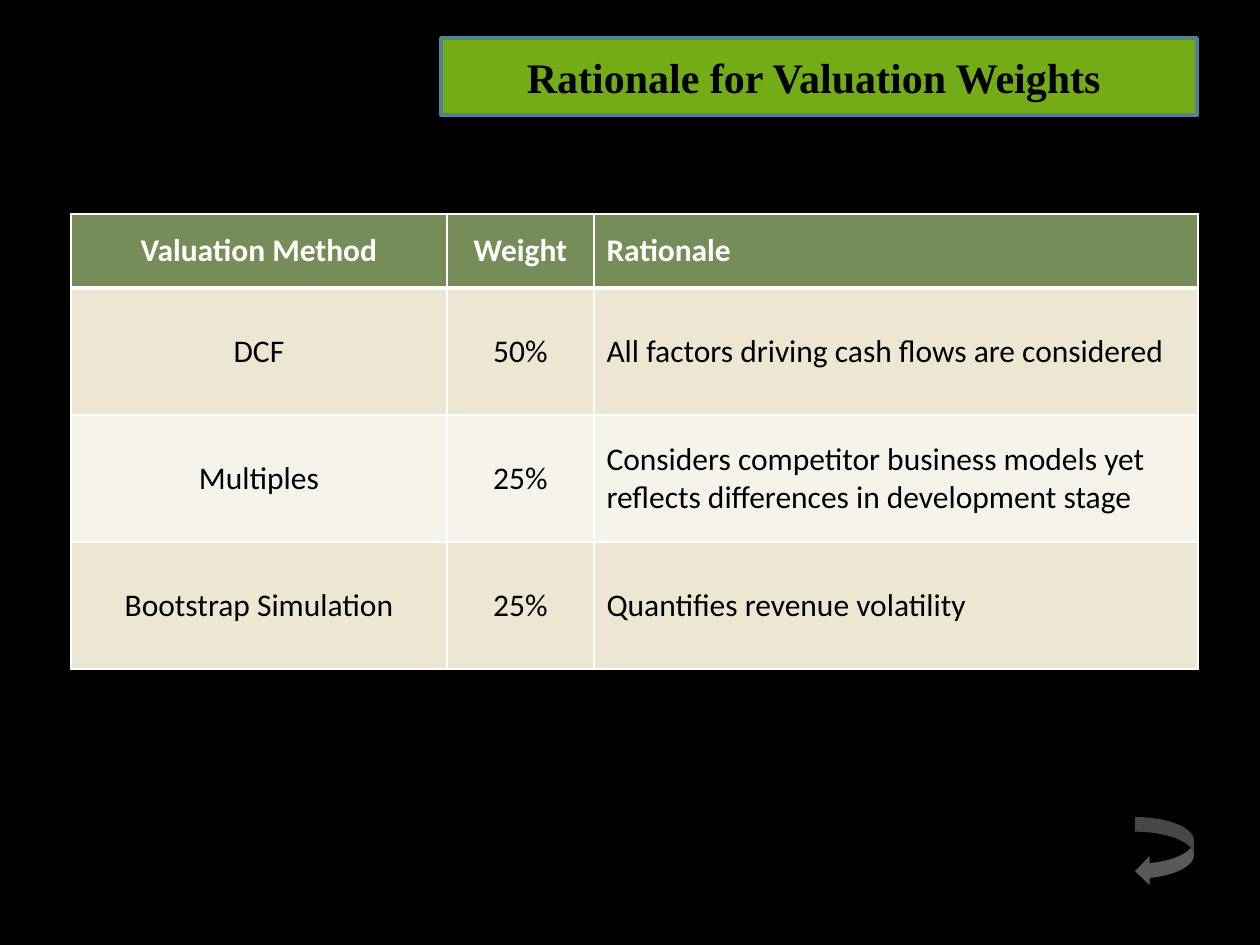
from dataclasses import dataclass

from lxml.etree import SubElement
from pptx import Presentation
from pptx.dml.color import RGBColor as Rgb
from pptx.enum.shapes import MSO_SHAPE as Shape
from pptx.enum.text import MSO_ANCHOR as Anchor, MSO_AUTO_SIZE as AutoSize, PP_ALIGN as Align
from pptx.oxml.ns import qn
from pptx.util import Emu, Pt

EMU_PER_PX = 914400 / 126


@dataclass(frozen=True)
class Theme:
    page: str = "000000"
    banner: str = "74AC18"
    banner_line: str = "4F8395"
    arrow: str = "595959"
    header: str = "768D5A"
    band_dark: str = "EDE6D3"
    band_light: str = "F6F3EA"
    light: str = "FFFFFF"
    dark: str = "000000"
    title_font: str = "Times New Roman"
    table_font: str = "Calibri"
    title_size: int = 24
    table_size: int = 18


theme = Theme()


def px(*lengths):
    return [Emu(round(length * EMU_PER_PX)) for length in lengths]


def write(frame, text, *, font, size, color, bold=False, align=Align.LEFT):
    para = frame.paragraphs[0]
    para.alignment = align
    span = para.add_run()
    span.text = text
    span.font.name = font
    span.font.size = Pt(size)
    span.font.bold = bold
    span.font.color.rgb = Rgb.from_string(color)


# Page
deck = Presentation()
deck.slide_width, deck.slide_height = px(1260, 945)
page = deck.slides.add_slide(deck.slide_layouts.get_by_name("Title Only"))
page.background.fill.solid()
page.background.fill.fore_color.rgb = Rgb.from_string(theme.page)

# Title banner
title = page.shapes.title
title.left, title.top, title.width, title.height = px(441, 38, 756, 77)
title.fill.solid()
title.fill.fore_color.rgb = Rgb.from_string(theme.banner)
title.line.color.rgb = Rgb.from_string(theme.banner_line)
title.line.width = Pt(2)
title.text_frame.auto_size = AutoSize.NONE
title.text_frame.vertical_anchor = Anchor.MIDDLE
write(title.text_frame, "Rationale for Valuation Weights ", font=theme.title_font,
      size=theme.title_size, color=theme.dark, bold=True, align=Align.CENTER)

# Return arrow
arrow = page.shapes.add_shape(Shape.CURVED_LEFT_ARROW, *px(1135, 817, 59, 69))
arrow.shadow.inherit = False
arrow.fill.solid()
arrow.fill.fore_color.rgb = Rgb.from_string(theme.arrow)
arrow.line.fill.background()

# Valuation table
rows = [
    ("Valuation Method", "Weight", "Rationale"),
    ("DCF", "50%", "All factors driving cash flows are considered"),
    ("Multiples", "25%", "Considers competitor business models yet "
                         "reflects differences in development stage"),
    ("Bootstrap Simulation", "25%", "Quantifies revenue volatility"),
]
column_widths = px(376, 147, 604)
row_heights = px(74, 127, 127, 127)
table = page.shapes.add_table(len(rows), len(column_widths), *px(71, 214),
                              sum(column_widths), sum(row_heights)).table
for column, width in zip(table.columns, column_widths):
    column.width = width

for row_index, texts in enumerate(rows):
    table.rows[row_index].height = row_heights[row_index]
    is_header = row_index == 0
    band = theme.band_dark if row_index % 2 else theme.band_light
    for column_index, text in enumerate(texts):
        cell = table.cell(row_index, column_index)
        cell.vertical_anchor = Anchor.MIDDLE

        # Borders, with a heavy rule below the header
        properties = cell._tc.get_or_add_tcPr()
        for side in ("lnL", "lnR", "lnT", "lnB"):
            heavy = (is_header and side == "lnB") or (row_index == 1 and side == "lnT")
            border = SubElement(properties, qn(f"a:{side}"), w=str(Pt(3 if heavy else 1)))
            fill = SubElement(border, qn("a:solidFill"))
            SubElement(fill, qn("a:srgbClr"), val=theme.light)

        cell.fill.solid()
        cell.fill.fore_color.rgb = Rgb.from_string(theme.header if is_header else band)
        write(cell.text_frame, text, font=theme.table_font, size=theme.table_size,
              color=theme.light if is_header else theme.dark, bold=is_header,
              align=Align.LEFT if column_index == 2 else Align.CENTER)

deck.save("out.pptx")
